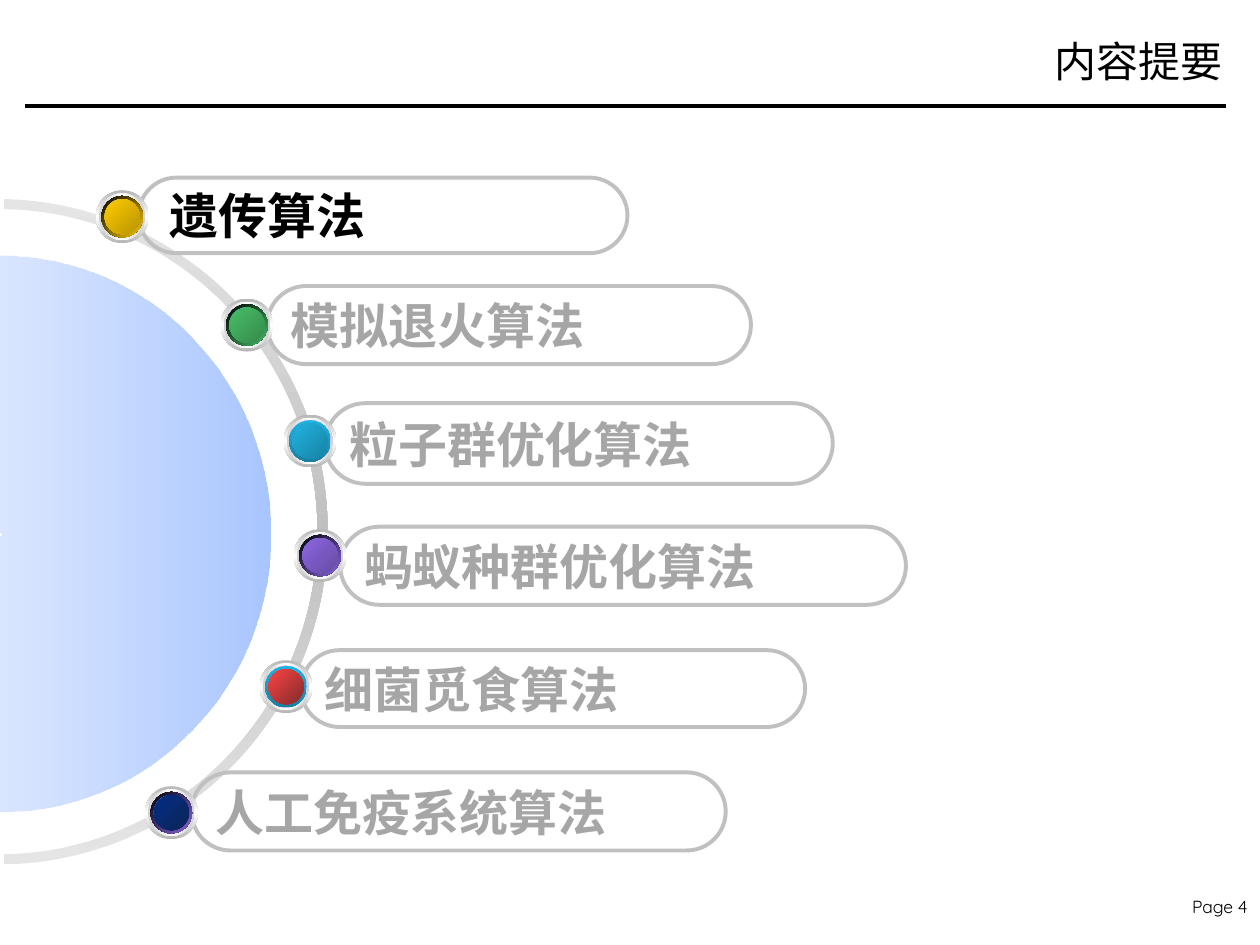
from dataclasses import dataclass

from lxml import etree
from pptx import Presentation
from pptx.dml.color import RGBColor
from pptx.enum.shapes import MSO_CONNECTOR, MSO_SHAPE
from pptx.enum.text import MSO_ANCHOR, PP_ALIGN
from pptx.oxml.ns import qn
from pptx.util import Inches, Pt

LINE = MSO_CONNECTOR.STRAIGHT
OVAL = MSO_SHAPE.OVAL
PILL = MSO_SHAPE.ROUNDED_RECTANGLE
MIDDLE = MSO_ANCHOR.MIDDLE
TOP = MSO_ANCHOR.TOP
LEFT = PP_ALIGN.LEFT
RIGHT = PP_ALIGN.RIGHT

BLACK, GREY, SILVER = "000000", "A6A6A6", "C0C0C0"
BEAD = 0.42

Point = tuple[float, float]
Box = tuple[float, float, float, float]


@dataclass
class Gradient:
    colors: tuple[str, ...]
    angle: int
    alphas: tuple[int, ...] = ()


@dataclass
class HalfRing:
    frame: Box
    outer: list[Point]
    inner: list[Point]
    gradient: Gradient


@dataclass
class Topic:
    text: str
    pill: Box
    bead: Point
    ring: Gradient
    face: tuple[str, str]
    color: str = GREY
    inset: float = 0.1


CYAN_RING = Gradient(("21B3E1", "1880A1"), 90)
VIOLET_RING = Gradient((BLACK, "8D67E1"), 45)

HALF_RINGS = [
    HalfRing((-2.65, 1.61, 5.28, 5.22),
             [(0.03, 6.86), (1.45, 6.84), (2.6, 5.66), (2.6, 4.22),
              (2.6, 2.78), (1.45, 1.61), (0.03, 1.58)],
             [(0.03, 1.66), (1.41, 1.68), (2.52, 2.82), (2.52, 4.22),
              (2.52, 5.62), (1.41, 6.76), (0.03, 6.78)],
             Gradient(("E5E5E5", SILVER, "E5E5E5"), 0)),
    HalfRing((-2.21, 2.09, 4.41, 4.3),
             [(0, 2.03), (1.19, 2.03), (2.15, 3.02), (2.15, 4.24),
              (2.15, 5.46), (1.19, 6.44), (0, 6.44)],
             [(0, 4.25), (0.01, 4.25), (0.01, 4.24), (0.01, 4.24),
              (0.01, 4.23), (0.01, 4.23), (0, 4.23)],
             Gradient(("6699FF", "FFFFFF"), 90, (56, 48))),
]

TOPICS = [
    Topic("遗传算法", (1.1, 1.41, 3.88, 0.6), (0.76, 1.51),
          Gradient((BLACK, "FFCC00"), 45), ("FFCC00", "BA9500"), BLACK, 0.16),
    Topic("模拟退火算法", (2.12, 2.27, 3.84, 0.62), (1.75, 2.37),
          Gradient((BLACK, "48BE67"), 45), ("48BE67", "358B4B")),
    Topic("粒子群优化算法", (2.58, 3.2, 4.03, 0.64), (2.25, 3.29),
          CYAN_RING, ("21B3E1", "1883A4")),
    Topic("蚂蚁种群优化算法", (2.7, 4.18, 4.49, 0.62), (2.33, 4.2),
          VIOLET_RING, ("8D67E1", "674BA4")),
    Topic("细菌觅食算法", (2.39, 5.16, 4, 0.61), (2.06, 5.24),
          CYAN_RING, ("FE4444", "832B2B")),
    Topic("人工免疫系统算法", (1.52, 6.13, 4.24, 0.62), (1.15, 6.24),
          VIOLET_RING, ("012D86", "0E2557")),
]


def rgb(value: str) -> RGBColor:
    return RGBColor.from_string(value)


def set_gradient(sp, gradient: Gradient) -> None:
    sp.shadow.inherit = False
    sp.line.fill.background()
    sp.fill.gradient()
    sp.fill.gradient_angle = -gradient.angle % 360
    stops = sp.element.spPr.find(qn("a:gradFill")).find(qn("a:gsLst"))
    for stop in list(stops):
        stops.remove(stop)
    last = len(gradient.colors) - 1
    for i, color in enumerate(gradient.colors):
        gs = etree.SubElement(stops, qn("a:gs"), pos=str(100000 * i // last))
        clr = etree.SubElement(gs, qn("a:srgbClr"), val=color)
        if gradient.alphas:
            etree.SubElement(clr, qn("a:alpha"), val=str(gradient.alphas[i] * 1000))


def set_text(sp, text: str, *, size: float, font: str, color: str = BLACK,
             bold: bool = False, align=LEFT, anchor=MIDDLE,
             wrap: bool = False, inset: float = 0.1) -> None:
    tf = sp.text_frame
    tf.word_wrap = wrap
    tf.vertical_anchor = anchor
    tf.margin_left = Inches(inset)
    p = tf.paragraphs[0]
    p.alignment = align
    r = p.add_run()
    r.text = text
    r.font.size = Pt(size)
    r.font.name = font
    r.font.bold = bold
    r.font.color.rgb = rgb(color)


def add_half_ring(s, ring: HalfRing) -> None:
    left, top, width, height = ring.frame
    builder = s.shapes.build_freeform(Inches(left), Inches(top))
    builder.add_line_segments([(Inches(left + width), Inches(top + height))])
    sp = builder.convert_to_shape()
    sp.rotation = 90
    outline = next(sp.element.iter(qn("a:path")))
    for child in list(outline):
        outline.remove(child)

    def draw(tag: str, points: list[Point]) -> None:
        step = etree.SubElement(outline, qn(tag))
        for x, y in points:
            u = y - top - height / 2 + width / 2
            v = left + width / 2 - x + height / 2
            etree.SubElement(step, qn("a:pt"), x=str(Inches(u)), y=str(Inches(v)))

    for tag, side in (("a:moveTo", ring.inner), ("a:lnTo", ring.outer)):
        draw(tag, side[:1])
        draw("a:cubicBezTo", side[1:4])
        draw("a:cubicBezTo", side[4:])
    etree.SubElement(outline, qn("a:close"))
    set_gradient(sp, ring.gradient)


def add_pill(s, topic: Topic) -> None:
    sp = s.shapes.add_shape(PILL, *map(Inches, topic.pill))
    sp.adjustments[0] = 0.5
    sp.shadow.inherit = False
    sp.fill.background()
    sp.line.color.rgb = rgb(SILVER)
    sp.line.width = Pt(2.25)
    set_text(sp, topic.text, size=28, font="Arial", color=topic.color,
             bold=True, inset=topic.inset)


def add_bead(s, topic: Topic) -> None:
    layers = [
        (BEAD, Gradient(("B6B6B6", "FFFFFF", "B6B6B6"), 90)),
        (0.37, Gradient(("D1D1D1", "FFFFFF", "D1D1D1"), 0)),
        (0.33, Gradient(("FFFFFF", "6699FF", "FFFFFF"), 45)),
        (0.33, topic.ring),
        (0.28, Gradient(("4E75C3", "6699FF", "4E75C3"), 315)),
        (0.28, Gradient(topic.face, 45)),
    ]
    group = s.shapes.add_group_shape()
    x, y = topic.bead
    for size, gradient in layers:
        gap = (BEAD - size) / 2
        sp = group.shapes.add_shape(OVAL, Inches(x + gap), Inches(y + gap),
                                    Inches(size), Inches(size))
        set_gradient(sp, gradient)


def add_text(s, box: Box, text: str, **fmt) -> None:
    set_text(s.shapes.add_textbox(*map(Inches, box)), text, **fmt)


def add_rule(s, x1: float, x2: float, y: float) -> None:
    line = s.shapes.add_connector(LINE, Inches(x1), Inches(y), Inches(x2), Inches(y))
    line.line.color.rgb = rgb(BLACK)
    line.line.width = Pt(2)
    etree.SubElement(line.element.spPr, qn("a:effectLst"))


def main() -> None:
    prs = Presentation()
    prs.slide_width, prs.slide_height = Inches(10), Inches(7.5)
    s = prs.slides.add_slide(prs.slide_layouts[6])

    add_text(s, (9.2, 7.06, 0.8, 0.26), "Page 4", size=10, font="Quicksand",
             align=RIGHT, anchor=TOP)
    add_rule(s, 0.2, 9.73, 0.84)
    add_text(s, (7.28, 0.11, 2.52, 0.75), "内容提要", size=24,
             font="Times New Roman", align=RIGHT, wrap=True)
    for ring in HALF_RINGS:
        add_half_ring(s, ring)
    for topic in reversed(TOPICS):
        add_pill(s, topic)
    for topic in TOPICS:
        add_bead(s, topic)

    prs.save("out.pptx")


if __name__ == "__main__":
    main()
